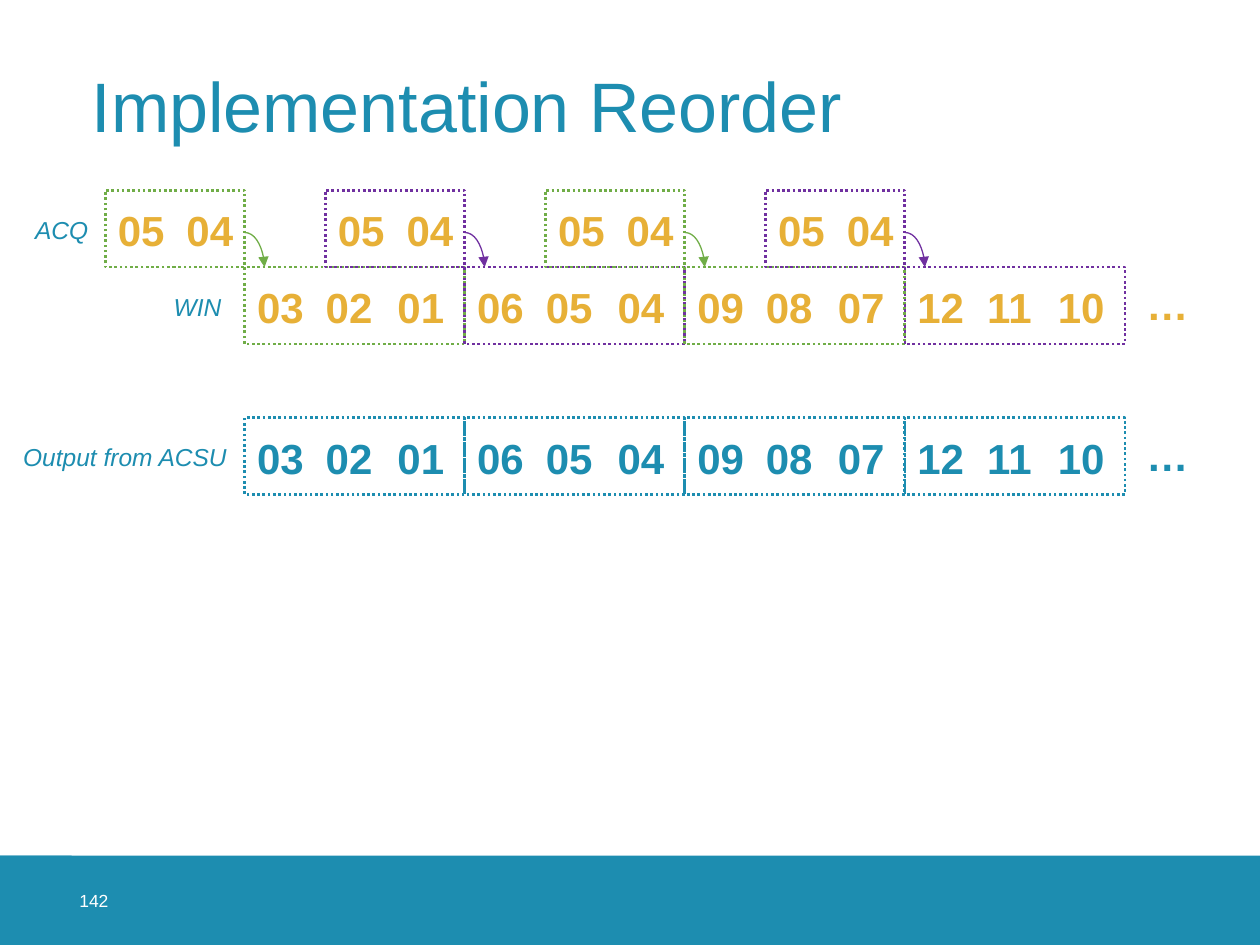
from pptx import Presentation
from pptx.dml.color import RGBColor
from pptx.enum.dml import MSO_LINE
from pptx.enum.shapes import MSO_CONNECTOR, MSO_SHAPE
from pptx.enum.text import MSO_ANCHOR, PP_ALIGN
from pptx.oxml.ns import qn
from pptx.util import Inches, Pt
from lxml.etree import SubElement

TEAL = RGBColor(0x1D, 0x8D, 0xB0)
GOLD = RGBColor(0xE7, 0xB0, 0x37)
GREEN = RGBColor(0x70, 0xAD, 0x47)
PURPLE = RGBColor(0x70, 0x30, 0xA0)
WHITE = RGBColor(0xFF, 0xFF, 0xFF)

# The slide is a grid of 100 columns by 75 rows
COLUMNS, ROWS = 100, 75
BLOCK_LEFT, BLOCK_WIDTH, BLOCK_HEIGHT = 19.4, 17.47, 6.1
ACQ_WIDTH = 11.05
ACQ_TOP, WIN_TOP, OUTPUT_TOP = 15.1, 21.2, 33.15
NUMBER_OFFSETS = (-0.6, 4.85, 10.55)


class SlideBuilder:
    font = "Arial"

    def __init__(self, prs):
        self.slide = prs.slides.add_slide(prs.slide_layouts[6])
        self.column = prs.slide_width / COLUMNS
        self.row = prs.slide_height / ROWS

    def place(self, x, y, width, height):
        return (round(x * self.column), round(y * self.row),
                round(width * self.column), round(height * self.row))

    def rect(self, x, y, width, height, fill=None, line=None):
        box = self.slide.shapes.add_shape(
            MSO_SHAPE.RECTANGLE, *self.place(x, y, width, height))
        box.shadow.inherit = False
        if fill is None:
            box.fill.background()
        else:
            box.fill.solid()
            box.fill.fore_color.rgb = fill
        if line is None:
            box.line.fill.background()
        else:
            box.line.color.rgb = line
            box.line.width = Pt(1.5)
            box.line.dash_style = MSO_LINE.ROUND_DOT

    def text(self, words, x, y, width, height, size, color, bold=False,
             italic=False, align=PP_ALIGN.LEFT, anchor=MSO_ANCHOR.TOP,
             inset=True, spacing=None):
        frame = self.slide.shapes.add_textbox(
            *self.place(x, y, width, height)).text_frame
        frame.word_wrap = True
        frame.vertical_anchor = anchor
        if not inset:
            frame.margin_left = frame.margin_right = 0
            frame.margin_top = frame.margin_bottom = 0
        paragraph = frame.paragraphs[0]
        paragraph.alignment = align
        if spacing:
            paragraph.line_spacing = spacing
        run = paragraph.add_run()
        run.text = words
        run.font.name = self.font
        run.font.size = Pt(size)
        run.font.bold = bold
        run.font.italic = italic
        run.font.color.rgb = color

    def number(self, words, x, y, color):
        self.text(words, x, y, 6.9, 5, 24, color, bold=True,
                  align=PP_ALIGN.CENTER)

    def label(self, words, x, y, width, align=PP_ALIGN.LEFT):
        self.text(words, x, y, width, 3.4, 14, TEAL, italic=True, align=align)

    def block(self, numbers, x, y, width, line, color):
        self.rect(x, y, width, BLOCK_HEIGHT, line=line)
        for words, offset in zip(numbers, NUMBER_OFFSETS):
            self.number(words, x + offset, y + 0.65, color)

    def curved_arrow(self, x, y, width, height, color):
        left, top, dx, dy = self.place(x, y, width, height)
        arrow = self.slide.shapes.add_connector(
            MSO_CONNECTOR.CURVE, left, top, left + dx, top + dy)
        arrow.line.color.rgb = color
        arrow.line.width = Pt(0.75)
        properties = arrow._element.spPr
        properties.find(qn("a:prstGeom")).set("prst", "curvedConnector2")
        SubElement(properties.find(qn("a:ln")), qn("a:tailEnd"), type="triangle")
        SubElement(properties, qn("a:effectLst"))


def main():
    prs = Presentation()
    prs.slide_width, prs.slide_height = Inches(10), Inches(7.5)
    page = SlideBuilder(prs)

    # Footer band and page number
    page.rect(0, 67.9, COLUMNS, 7.1, fill=TEAL)
    page.text("142", 6.3, 67.9, 7.1, 7.1, 10, WHITE,
              anchor=MSO_ANCHOR.MIDDLE, inset=False)

    # Title
    page.text("Implementation Reorder", 6.3, 2.4, 87.4, 12.6, 40, TEAL,
              anchor=MSO_ANCHOR.MIDDLE, spacing=0.9)

    # Window and output rows, with the acquisition block ahead of each window
    windows = [("03", "02", "01"), ("06", "05", "04"),
               ("09", "08", "07"), ("12", "11", "10")]
    for index, numbers in enumerate(windows):
        left = BLOCK_LEFT + index * BLOCK_WIDTH
        path_color = (GREEN, PURPLE)[index % 2]
        page.block(numbers, left, WIN_TOP, BLOCK_WIDTH, path_color, GOLD)
        page.block(numbers, left, OUTPUT_TOP, BLOCK_WIDTH, TEAL, TEAL)
        page.block(("05", "04"), left - ACQ_WIDTH, ACQ_TOP, ACQ_WIDTH,
                   path_color, GOLD)
        page.curved_arrow(left, ACQ_TOP + BLOCK_HEIGHT / 2 + 0.3, 1.6, 2.75,
                          path_color)

    # Continuation marks
    for top, color in ((WIN_TOP, GOLD), (OUTPUT_TOP, TEAL)):
        page.number("…", 89.2, top + 0.45, color)

    # Row labels
    page.label("ACQ", 1.8, ACQ_TOP + 1.5, 6.7)
    page.label("WIN", 12.8, WIN_TOP + 1.5, 6.7)
    page.label("Output from ACSU", 0.6, OUTPUT_TOP + 1.45, 18.4,
               PP_ALIGN.RIGHT)

    # Left end of the footer band
    page.rect(0, 67.9, 5.7, 7.1, fill=TEAL)

    prs.save("out.pptx")


if __name__ == "__main__":
    main()
